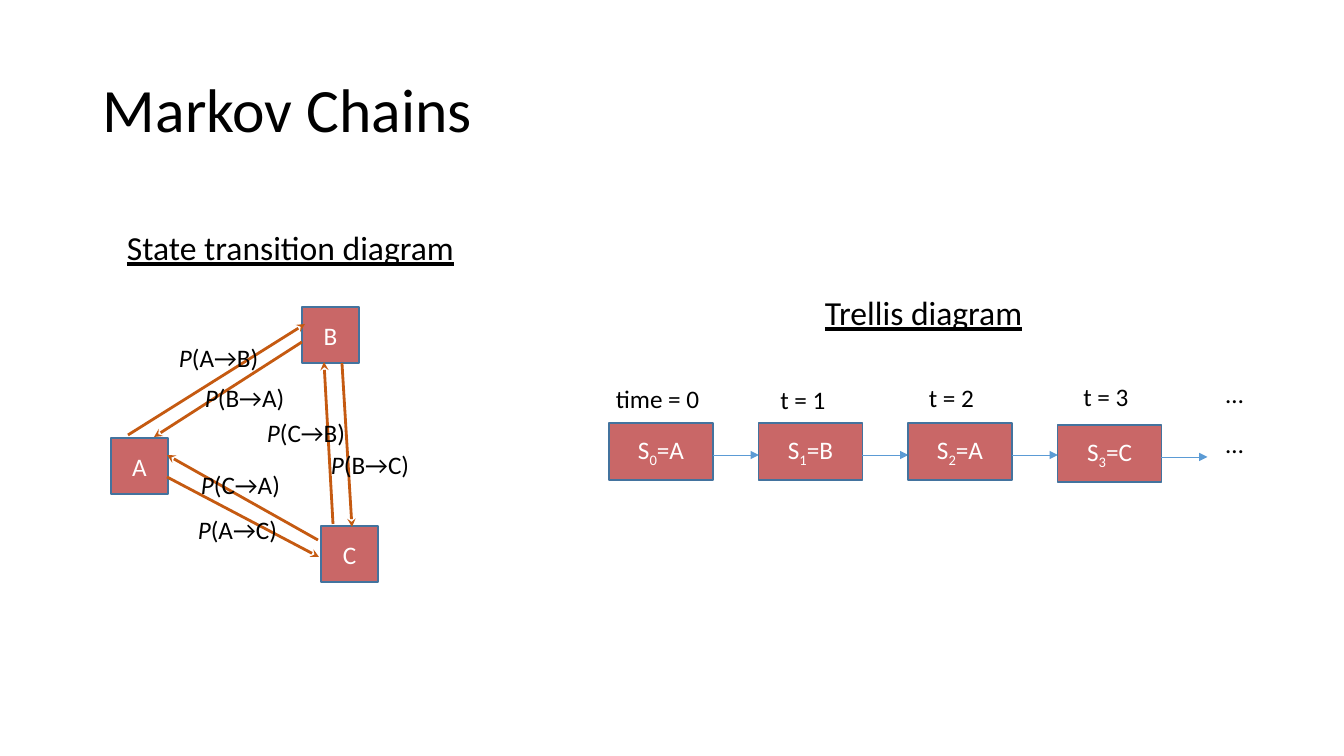
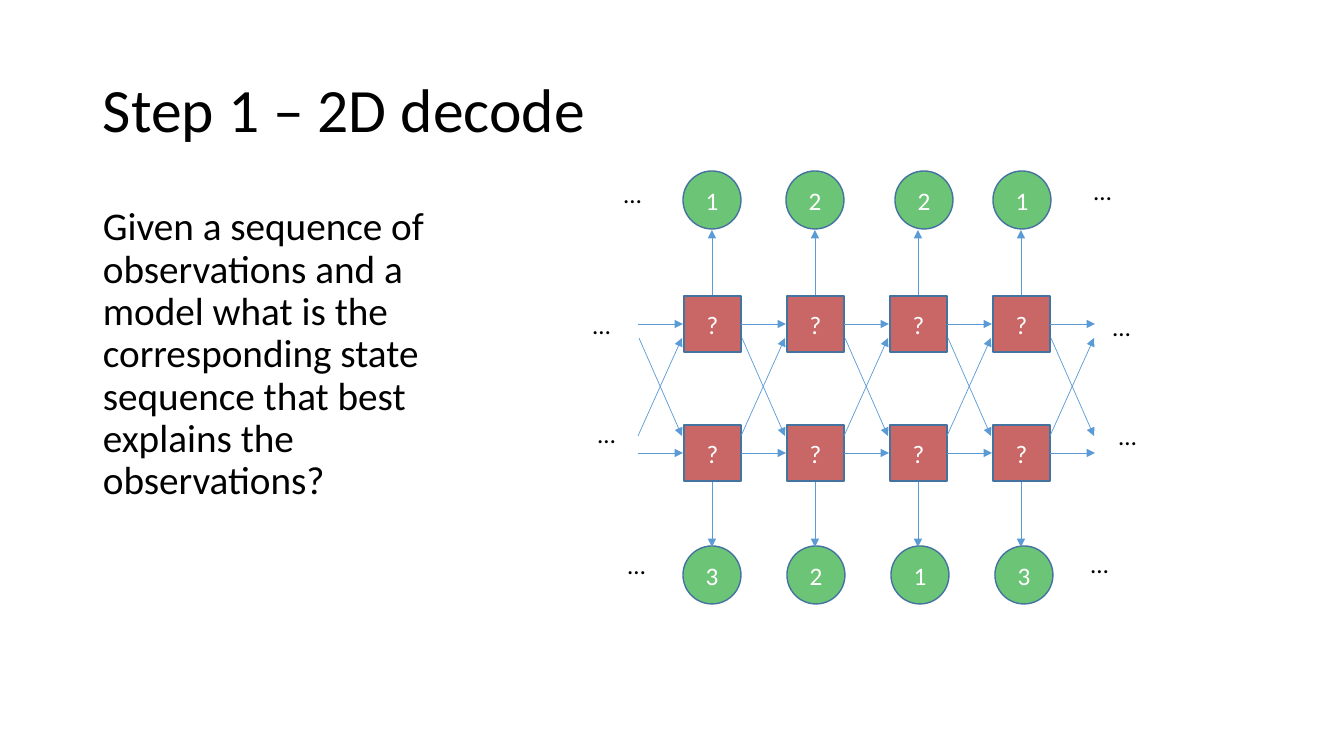
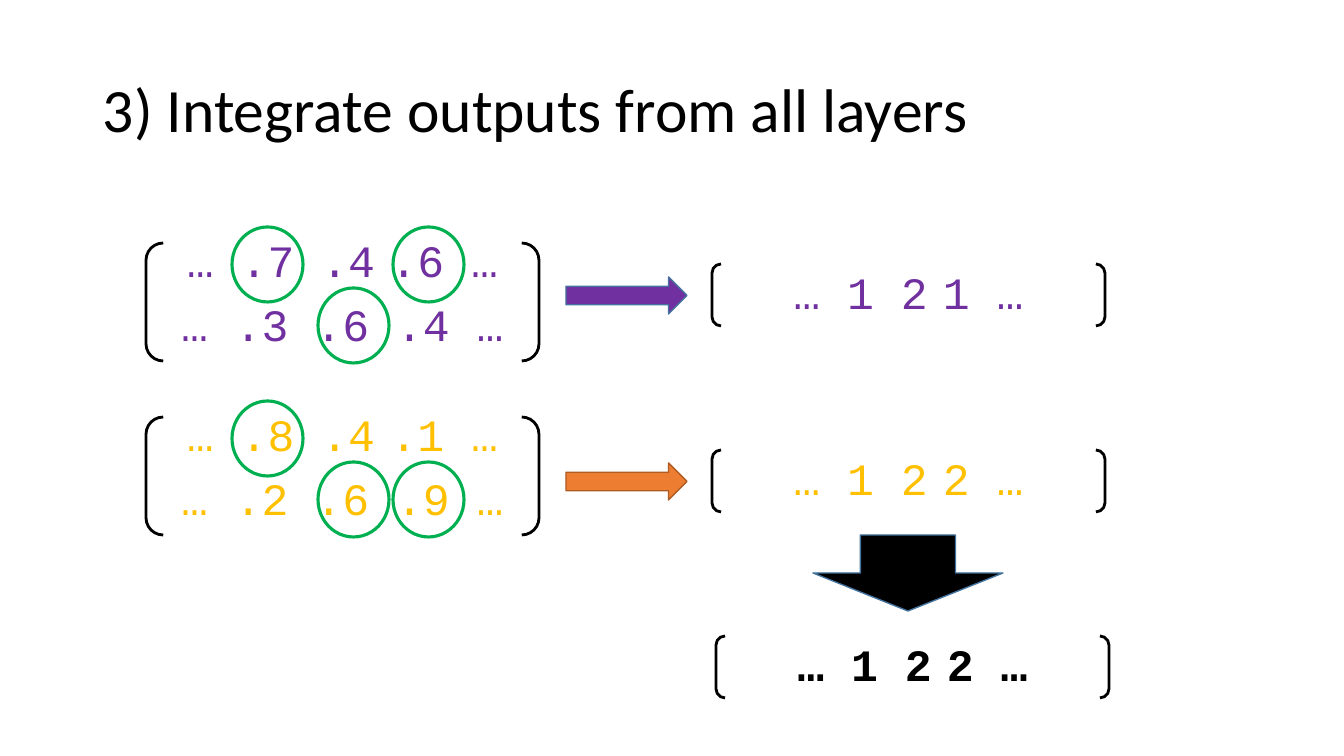
from pptx import Presentation, util as u
from pptx.dml.color import RGBColor
from pptx.enum import shapes, text
from pptx.oxml.ns import qn
from lxml import etree

PX = 914400 / 100.8
BLACK, WHITE = "000000", "FFFFFF"
STATE, OBSERVED, OUTLINE = "C96767", "6CC476", "43739E"
FLOW, TRANSITION, CHOICE = "5B9BD5", "C55A11", "00B050"
PURPLE, GOLD, ORANGE, RUST = "7030A0", "FFC000", "ED7D31", "AF5C24"
KIND = shapes.MSO_SHAPE
MIDDLE, BOTTOM = text.MSO_ANCHOR.MIDDLE, text.MSO_ANCHOR.BOTTOM
CENTER = text.PP_ALIGN.CENTER


def px(*lengths):
    return [u.Emu(round(length * PX)) for length in lengths]


def rgb(value):
    return RGBColor.from_string(value)


def write(frame, rows, size=18, color=BLACK, font="Calibri", align=None,
          anchor=None, bold=None, underline=None, leading=None, before=None):
    """Each row is a list of (words, style) pairs, or plain words."""
    frame.word_wrap = True
    if anchor is not None:
        frame.vertical_anchor = anchor
    for index, row in enumerate(rows):
        line = frame.add_paragraph() if index else frame.paragraphs[0]
        line.alignment, line.line_spacing = align, leading
        if before:
            line.space_before = u.Pt(before)
        line.font.size, line.font.name = u.Pt(size), font
        line.font.bold, line.font.underline = bold, underline
        line.font.color.rgb = rgb(color)
        for words, style in [(row, "")] if isinstance(row, str) else row:
            run = line.add_run()
            run.text = words
            if style == "italic":
                run.font.italic = True
            elif style == "narrow":
                run.font.size = u.Pt(18)
            elif style == "sub":
                run._r.get_or_add_rPr().set("baseline", "-25000")


def label(slide, words, x, y, w=125, h=40, **style):
    write(slide.shapes.add_textbox(*px(x, y, w, h)).text_frame, [words], **style)


def shape(slide, kind, x, y, w, h, fill=None, line=OUTLINE, width=1):
    part = slide.shapes.add_shape(kind, *px(x, y, w, h))
    part.shadow.inherit = False
    if fill:
        part.fill.solid()
        part.fill.fore_color.rgb = rgb(fill)
    else:
        part.fill.background()
    part.line.color.rgb = rgb(line)
    part.line.width = u.Pt(width)
    return part


def node(slide, words, x, y, w=57, h=56, kind=KIND.RECTANGLE, fill=STATE):
    write(shape(slide, kind, x, y, w, h, fill).text_frame, [words],
          color=WHITE, align=CENTER, anchor=MIDDLE)


def arrow(slide, x1, y1, x2, y2, color=FLOW, width=0.5, head="triangle"):
    link = slide.shapes.add_connector(shapes.MSO_CONNECTOR.STRAIGHT,
                                      *px(x1, y1, x2, y2))
    link.line.color.rgb = rgb(color)
    link.line.width = u.Pt(width)
    etree.SubElement(link.line._get_or_add_ln(), qn("a:tailEnd"), type=head)
    etree.SubElement(link._element.spPr, qn("a:effectLst"))


def titled_slide(deck, title):
    slide = deck.slides.add_slide(deck.slide_layouts[6])
    label(slide, title, 93, 40, 1159, 146, size=44, anchor=MIDDLE, leading=0.9)
    return slide


def state_diagram(slide, left, top):
    label(slide, "State transition diagram", left + 7, top + 2, 355, 50,
          size=24, underline=True)
    for state, x, y in [("B", 192, 87), ("A", 1, 218), ("C", 211, 306)]:
        node(slide, state, left + x, top + y)
    # Transitions: arrow ends, then label corner
    transitions = [
        ("A→B", (18, 215, 195, 104), (59, 117)),
        ("B→A", (192, 122, 44, 217), (85, 157)),
        ("B→C", (232, 143, 242, 307), (211, 224)),
        ("C→B", (223, 304, 214, 142), (147, 192)),
        ("C→A", (208, 320, 57, 235), (81, 244)),
        ("A→C", (57, 257, 209, 337), (78, 289)),
    ]
    for _, (x1, y1, x2, y2), _ in transitions:
        arrow(slide, left + x1, top + y1, left + x2, top + y2,
              TRANSITION, 2, "stealth")
    for change, _, (x, y) in transitions:
        label(slide, [("P", "italic"), (f"({change})", "")], left + x, top + y)


def trellis_diagram(slide, left, top):
    label(slide, "Trellis diagram", left + 215, top + 2, 355, 50,
          size=24, underline=True)
    # Each step: time, state, label offset from its box, box drop
    steps = [("time = 0", "A", -3, 93, 0), ("t = 1", "B", 12, 94, 0),
             ("t = 2", "A", 11, 92, 0), ("t = 3", "C", 16, 91, 2)]
    for i, (time, state, dx, dy, drop) in enumerate(steps):
        x, y = left + 9 + 149.5 * i, top + 138 + drop
        node(slide, [("S", ""), (str(i), "sub"), (f"={state}", "")],
             x, y, 104, 57)
        arrow(slide, x + 104, y + 32, x + 150, y + 32)
        label(slide, time, x + dx, top + dy, 150)
    for y in (88, 138):
        label(slide, "…", left + 616, top + y, 35)


def lattice(slide, left, top):
    pitch, upper, lower = 103, top + 126, top + 255
    # State rows with the arrows into, between and out of them
    for i in range(5):
        x = left + 58 + pitch * i
        for y in (upper, lower):
            arrow(slide, x, y + 28, x + 45, y + 28)
            if i < 4:
                node(slide, "?", x + 46, y)
        arrow(slide, x, lower + 11, x + 44, upper + 42)
        arrow(slide, x + 1, upper + 42, x + 44, lower + 11)
    # Observations above and below
    for y, start, end, observed in [
            (top + 1, upper - 1, top + 60, [("1", 103), ("2", 206), ("2", 315), ("1", 413)]),
            (top + 376, lower + 57, top + 377, [("3", 103), ("2", 207), ("1", 311), ("3", 415)])]:
        for i, (value, x) in enumerate(observed):
            node(slide, value, left + x, y, 58, 58, KIND.OVAL, OBSERVED)
            center = left + 132 + pitch * i
            arrow(slide, center, start, center, end)
    for x, y in [(34, 3), (504, 0), (3, 134), (523, 136),
                 (8, 243), (529, 245), (38, 374), (501, 373)]:
        label(slide, "…", left + x, top + y, 35)


def bracket(slide, rows, x, y, h, color, bold=None, before=None):
    pair = shape(slide, KIND.DOUBLE_BRACKET, x, y, 393, h, line=BLACK, width=2)
    pair.adjustments[0] = 0.146
    write(pair.text_frame, rows, 32, color, "Courier New", CENTER, BOTTOM,
          bold, before=before)


def tightened(start, end):
    return [(start, ""), (" ", "narrow"), (end, "")]


def layer(slide, left, top, result_top, rows, picks, result, color, fill, edge):
    bracket(slide, rows, left, top, 118, color, before=7.5)
    for column, row in enumerate(picks):
        shape(slide, KIND.OVAL, left + (86, 172, 247)[column],
              top + (-16, 45)[row], 71, 75, line=CHOICE, width=2.25)
    shape(slide, KIND.RIGHT_ARROW, left + 420, result_top + 13, 121, 37, fill, edge)
    bracket(slide, [result], left + 566, result_top, 62, color)


deck = Presentation()
deck.slide_width, deck.slide_height = px(1344, 756)

# Markov chains
chains = titled_slide(deck, "Markov Chains")
state_diagram(chains, 110, 220)
trellis_diagram(chains, 600, 285)

# 2D decode
decode = titled_slide(deck, "Step 1 – 2D decode")
label(decode, "Given a sequence of observations and a model what is the "
      "corresponding state sequence that best explains the observations?",
      93, 202, 348, 454, size=28, leading=0.9, before=10)
lattice(decode, 580, 170)

# Integration of layers
integrate = titled_slide(deck, "3) Integrate outputs from all layers")
layer(integrate, 146, 243, 264,
      [tightened("… .7 .4", ".6 …"), "… .3 .6 .4 …"], (0, 1, 0),
      tightened("… 1 2", "1 …"), PURPLE, PURPLE, OUTLINE)
layer(integrate, 146, 417, 450,
      [tightened("… .8 .4", ".1 …"), "… .2 .6 .9 …"], (0, 1, 1),
      tightened("… 1 2", "2 …"), GOLD, ORANGE, RUST)
shape(integrate, KIND.DOWN_ARROW, 813, 535, 190, 76, BLACK)
bracket(integrate, [tightened("… 1 2", "2 …")], 716, 636, 62, BLACK, bold=True)

deck.save("out.pptx")
